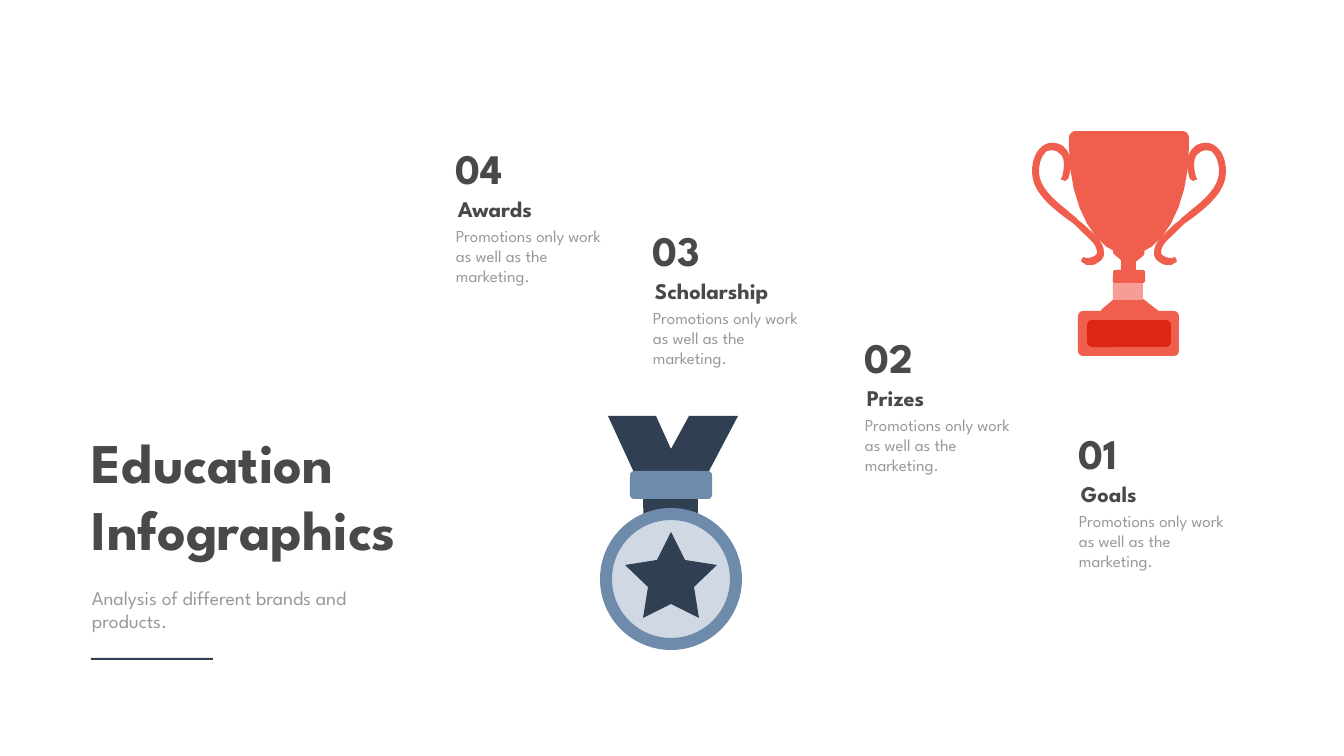
import pptx
import pptx.util
import pptx.dml.color
import pptx.enum.shapes
import pptx.enum.text

PX = 914400 / 50.4
RGB = pptx.dml.color.RGBColor
SHAPE = pptx.enum.shapes.MSO_SHAPE
NAVY, STEEL, MIST = RGB(0x30, 0x40, 0x52), RGB(0x6F, 0x8B, 0xAB), RGB(0xCF, 0xD8, 0xE3)
CORAL, PINK, RED = RGB(0xF0, 0x5E, 0x4E), RGB(0xF6, 0x9E, 0x95), RGB(0xDC, 0x27, 0x13)
INK, GREY = RGB(0x49, 0x49, 0x49), RGB(0x99, 0x99, 0x99)

# Content: number, title, left and top of each step
STEPS = [
    ("04", "Awards", 451, 140),
    ("03", "Scholarship", 648, 222),
    ("02", "Prizes", 860, 329),
    ("01", "Goals", 1074, 425),
]
STEP_BODY = "Promotions only work as well as the marketing."
HEADING = ["Education", "Infographics"]
SUBHEADING = ["Analysis of different brands and products."]

# Outlines: two numbers are a corner, six are a Bézier curve
RIBBON = [(698, 492), (738, 416), (689, 416), (671, 449), (656, 416),
          (608, 416), (643, 492), (644, 548), (698, 543)]
STAR = [(671, 532), (685, 560), (717, 565), (694, 587), (699, 618),
        (671, 604), (643, 618), (648, 587), (625, 565), (657, 560)]
CUP_SIDE = [(1189, 147), (1189, 143, 1189, 140, 1189, 138),
            (1189, 134, 1186, 131, 1182, 131), (1160, 131), (1160, 143),
            (1160, 205, 1146, 255, 1129, 255), (1161, 255, 1189, 207, 1189, 147)]
BOWL = [(1166, 143), (1166, 131), (1094, 131), (1094, 143),
        (1094, 205, 1110, 255, 1129, 255), (1149, 255, 1166, 205, 1166, 143)]
COLLAR = [(1117, 249), (1142, 249), (1144, 249, 1145, 252, 1144, 255), (1132, 265),
          (1130, 266, 1128, 266, 1127, 265), (1115, 255),
          (1111, 252, 1113, 249, 1117, 249)]
FOOT = [(1152, 316), (1106, 316), (1101, 316, 1099, 312, 1102, 309), (1125, 290),
        (1127, 287, 1130, 287, 1132, 290), (1156, 309),
        (1161, 311, 1157, 316, 1152, 316)]
HANDLE = [(1089, 265), (1087, 265, 1085, 265, 1084, 263),
          (1082, 263, 1080, 261, 1082, 259), (1082, 258, 1084, 256, 1085, 258),
          (1087, 258, 1092, 258, 1094, 256), (1095, 256, 1097, 254, 1097, 253),
          (1097, 244, 1090, 240, 1078, 228), (1075, 225),
          (1072, 222, 1068, 220, 1063, 216), (1049, 205, 1032, 191, 1032, 172),
          (1032, 160, 1036, 150, 1044, 145), (1051, 141, 1058, 143, 1063, 146),
          (1077, 157, 1068, 179, 1068, 179), (1066, 180, 1065, 182, 1063, 180),
          (1061, 180, 1060, 179, 1062, 177), (1062, 177, 1068, 158, 1059, 153),
          (1056, 150, 1051, 150, 1047, 151), (1042, 155, 1039, 162, 1039, 172),
          (1039, 187, 1054, 200, 1068, 211), (1072, 215, 1075, 216, 1078, 220),
          (1082, 223), (1095, 235, 1104, 242, 1104, 253),
          (1104, 258, 1101, 261, 1097, 263), (1095, 265, 1092, 265, 1089, 265)]
TROPHY_AXIS = 1129

# Text formats
NUMBER = {"size": 60, "bold": True, "color": INK}
STEP_TITLE = {"size": 32, "bold": True, "color": INK}
BODY = {"size": 24, "bold": False, "color": GREY}
TITLE = {"size": 80, "bold": True, "color": INK}
SUBTITLE = {"size": 28, "bold": False, "color": GREY}


def paint(shape, color):
    shape.shadow.inherit = False
    shape.fill.solid()
    shape.fill.fore_color.rgb = color
    shape.line.fill.background()


def add_preset(group, kind, place, color, adjust=None):
    shape = group.shapes.add_shape(kind, *(round(v * PX) for v in place))
    if adjust is not None:
        shape.adjustments[0] = adjust
    paint(shape, color)


def add_rounded(group, place, radius, color):
    add_preset(group, SHAPE.ROUNDED_RECTANGLE, place, color, radius / min(place[2:]))


def trace(outline, steps=8):
    """Turn corners and curves into one list of points."""
    points = [outline[0]]
    for segment in outline[1:]:
        if len(segment) == 2:
            points.append(segment)
            continue
        knots = [points[-1], segment[:2], segment[2:4], segment[4:]]
        for step in range(1, steps + 1):
            t = step / steps
            weights = ((1 - t) ** 3, 3 * t * (1 - t) ** 2, 3 * t * t * (1 - t), t ** 3)
            points.append(tuple(sum(w * knot[axis] for w, knot in zip(weights, knots))
                                for axis in (0, 1)))
    return points


def add_outline(group, outline, color, mirror=None):
    points = trace(outline)
    if mirror is not None:
        points = [(2 * mirror - x, y) for x, y in points]
    points = [(round(x * PX), round(y * PX)) for x, y in points]
    builder = group.shapes.build_freeform(*points[0])
    builder.add_line_segments(points[1:], close=True)
    paint(builder.convert_to_shape(), color)


def add_text(group, place, lines, form):
    box = group.shapes.add_textbox(*(round(v * PX) for v in place))
    frame = box.text_frame
    frame.word_wrap = True
    frame.auto_size = pptx.enum.text.MSO_AUTO_SIZE.SHAPE_TO_FIT_TEXT
    for index, line in enumerate(lines):
        para = frame.paragraphs[0] if index == 0 else frame.add_paragraph()
        span = para.add_run()
        span.text = line
        values = {"name": "League Spartan", "bold": form["bold"],
                  "size": pptx.util.Pt(form["size"])}
        for name, value in values.items():
            setattr(span.font, name, value)
        span.font.color.rgb = form["color"]


def main():
    deck = pptx.Presentation()
    deck.slide_width, deck.slide_height = round(1344 * PX), round(756 * PX)
    page = deck.slides.add_slide(deck.slide_layouts[6])

    # Medal
    medal = page.shapes.add_group_shape()
    add_outline(medal, RIBBON, NAVY)
    add_rounded(medal, (630, 471, 82, 28), 4, STEEL)
    add_preset(medal, SHAPE.OVAL, (607, 511, 131, 131), MIST)
    add_preset(medal, SHAPE.DONUT, (600, 508, 142, 142), STEEL, 12 / 142)
    add_outline(medal, STAR, NAVY)

    # Trophy
    trophy = page.shapes.add_group_shape()
    for mirror in (None, TROPHY_AXIS):
        add_outline(trophy, CUP_SIDE, CORAL, mirror)
    for outline in (BOWL, COLLAR, FOOT):
        add_outline(trophy, outline, CORAL)
    add_rounded(trophy, (1121, 253, 15, 49), 1, CORAL)
    add_preset(trophy, SHAPE.RECTANGLE, (1113, 277, 30, 23), PINK)
    add_rounded(trophy, (1113, 270, 32, 13), 2, CORAL)
    add_rounded(trophy, (1078, 311, 101, 45), 5, CORAL)
    add_rounded(trophy, (1087, 320, 84, 27), 5, RED)
    for mirror in (None, TROPHY_AXIS):
        add_outline(trophy, HANDLE, CORAL, mirror)

    # Steps
    for number, title, left, top in STEPS:
        step = page.shapes.add_group_shape()
        add_text(step, (left + 2, top + 53, 171, 32), [title], STEP_TITLE)
        add_text(step, (left, top + 83, 172, 66), [STEP_BODY], BODY)
        add_text(step, (left, top, 77, 56), [number], NUMBER)

    # Heading with rule
    heading = page.shapes.add_group_shape()
    add_text(heading, (87, 425, 357, 141), HEADING, TITLE)
    add_text(heading, (87, 583, 269, 52), SUBHEADING, SUBTITLE)
    add_preset(heading, SHAPE.RECTANGLE, (91, 658, 122, 2), NAVY)

    deck.save("out.pptx")


if __name__ == "__main__":
    main()
